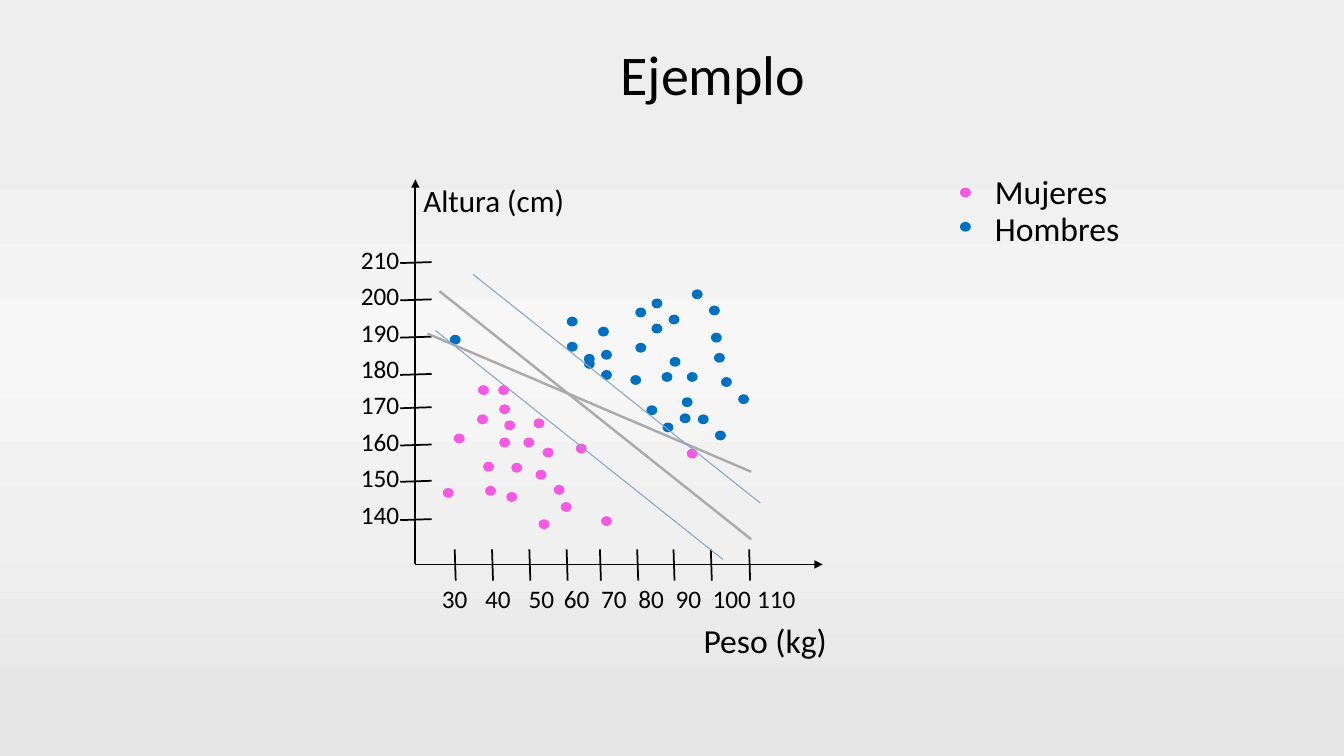
import pptx
import pptx.dml.color
import pptx.enum.dml
import pptx.enum.shapes
import pptx.enum.text
import pptx.oxml
import pptx.oxml.ns
import pptx.util
from pptx.util import Inches

BLACK, GREY, PALE_BLUE = "000000", "ABABAB", "86A6C1"
PINK, BLUE = "F658E3", "0070C0"
BACKDROP = [(0, "EEEEEE"), (25, "F1F1F1"), (47, "F7F7F7"), (70, "F0F0F0"), (93, "E6E6E6")]
DOT_WIDTH, DOT_HEIGHT = 0.09, 0.08

# Plot coordinates are inches from the top-left corner of the plot box.
PLOT_BOX = (3.48, 1.71, 5.33, 4.95)
LEGEND_BOX = (9.53, 1.61, 1.75, 0.9)
HEIGHTS = ["210", "200", "190", "180", "170", "160", "150", "140"]
HEIGHT_TICKS = [0.9, 1.27, 1.64, 2.01, 2.34, 2.71, 3.07, 3.45]
WEIGHTS = ["30", "40", "50", "60", "70", "80", "90", "100", "110"]
WEIGHT_TICKS = [1.03, 1.4, 1.77, 2.14, 2.47, 2.84, 3.2, 3.57, 3.95]
WEIGHT_CENTERS = [0.29, 0.72, 1.15, 1.5, 1.87, 2.24, 2.61, 3.04, 3.48]
WOMEN = [
    (1.72, 2.64), (1.48, 2.64), (1.6, 2.89), (1.26, 2.41), (2.09, 3.28), (1.84, 2.96),
    (1.48, 2.31), (1.27, 2.12), (1.34, 3.12), (2.02, 3.11), (1.32, 2.88), (1.91, 2.74),
    (1.47, 2.12), (1.82, 2.45), (1.87, 3.45), (1.03, 2.6), (2.24, 2.7), (1.55, 3.18),
    (1.53, 2.47), (0.92, 3.14), (3.34, 2.75), (2.49, 3.42)]
MEN = [
    (3.61, 1.8), (2.46, 1.54), (2.15, 1.69), (2.32, 1.86), (2.94, 2.32), (3.1, 2.49),
    (2.83, 1.35), (2.99, 1.51), (2.15, 1.44), (3.17, 1.84), (2.49, 1.77), (3.09, 1.99),
    (3.27, 2.4), (2.99, 1.26), (3.16, 1.42), (3.68, 2.04), (3.85, 2.21), (3.39, 1.17),
    (3.56, 1.33), (0.99, 1.62), (2.83, 1.7), (3.34, 1.99), (2.32, 1.81), (2.49, 1.97),
    (2.78, 2.02), (3.29, 2.24), (3.45, 2.41), (3.62, 2.57), (3.58, 1.6)]
SEPARATORS = [
    (0.76, 1.6, 3.97, 2.97, GREY, 1.75), (0.88, 1.18, 3.97, 3.64, GREY, 1.75),
    (0.84, 1.57, 3.69, 3.84, PALE_BLUE, 0.75), (1.21, 1.01, 4.06, 3.28, PALE_BLUE, 0.75)]


def color(hex_code):
    return pptx.dml.color.RGBColor.from_string(hex_code)


def add_run(paragraph, text, size):
    run = paragraph.add_run()
    run.text = text
    run.font.name = "Calibri"
    run.font.size = pptx.util.Pt(size)
    run.font.color.rgb = color(BLACK)


def add_label(slide, box, lines, size, before=4.8, after=6, spacing=None,
              anchor=pptx.enum.text.MSO_ANCHOR.MIDDLE):
    frame = slide.shapes.add_textbox(*map(Inches, box)).text_frame
    frame.word_wrap = True
    frame.vertical_anchor = anchor
    for index, line in enumerate(lines):
        paragraph = frame.add_paragraph() if index else frame.paragraphs[0]
        paragraph.space_before = pptx.util.Pt(before)
        paragraph.space_after = pptx.util.Pt(after)
        if spacing:
            paragraph.line_spacing = pptx.util.Pt(spacing)
        add_run(paragraph, line, size)
    return frame


def add_line(slide, x1, y1, x2, y2, hex_code=BLACK, width=1.25, arrow=False):
    line = slide.shapes.add_connector(
        pptx.enum.shapes.MSO_CONNECTOR.STRAIGHT, *map(Inches, (x1, y1, x2, y2)))
    line.line.color.rgb = color(hex_code)
    line.line.width = pptx.util.Pt(width)
    if arrow:
        outline = line.line._get_or_add_ln()
        pptx.oxml.ns.qn("a:tailEnd")
        outline.append(outline.makeelement(pptx.oxml.ns.qn("a:tailEnd"), {"type": "triangle"}))
    properties = line._element.spPr
    properties.append(properties.makeelement(pptx.oxml.ns.qn("a:effectLst"), {}))


def add_dot(slide, x, y, hex_code):
    dot = slide.shapes.add_shape(
        pptx.enum.shapes.MSO_SHAPE.OVAL, *map(Inches, (x, y, DOT_WIDTH, DOT_HEIGHT)))
    dot.shadow.inherit = False
    dot.fill.solid()
    dot.fill.fore_color.rgb = color(hex_code)
    dot.line.color.rgb = color(hex_code)
    dot.line.width = pptx.util.Pt(1.25)


def set_background(slide):
    fill = slide.background.fill
    fill.gradient()
    fill.gradient_angle = 270
    stops = slide._element.find(".//" + pptx.oxml.ns.qn("a:gsLst"))
    for stop in list(stops):
        stops.remove(stop)
    for percent, hex_code in BACKDROP:
        stops.append(pptx.oxml.parse_xml(
            f'<a:gs {pptx.oxml.ns.nsdecls("a")} pos="{percent * 1000}">'
            f'<a:srgbClr val="{hex_code}"/></a:gs>'))


def add_title(slide, box):
    title = slide.shapes.title
    title.left, title.top, title.width, title.height = map(Inches, box)
    title.text_frame.vertical_anchor = pptx.enum.text.MSO_ANCHOR.MIDDLE
    paragraph = title.text_frame.paragraphs[0]
    paragraph.alignment = pptx.enum.text.PP_ALIGN.CENTER
    add_run(paragraph, "Ejemplo", 40)


def add_axes(slide, box):
    left, top, width, height = box
    origin_x, origin_y = left + 0.64, top + 3.89
    add_line(slide, origin_x, origin_y, origin_x, top + 0.07, arrow=True)
    add_line(slide, origin_x, origin_y, left + 4.68, origin_y, arrow=True)

    # Tick marks lean slightly, as if drawn by hand
    for y in HEIGHT_TICKS:
        add_line(slide, left + 0.49, top + y, left + 0.8, top + y - 0.01)
    for x in WEIGHT_TICKS:
        add_line(slide, left + x, top + 3.74, left + x + 0.01, top + 4.05)

    # Axis names and values
    add_label(slide, (left + 0.62, top, 1.69, 0.55), ["Altura (cm)"], 22.2)
    add_label(slide, (left + 3.4, top + 4.39, 1.5, 0.49), ["Peso (kg)"], 24)
    add_label(slide, (left, top + 0.7, 0.72, 3.28), HEIGHTS, 18, before=3, after=4,
              spacing=19, anchor=pptx.enum.text.MSO_ANCHOR.TOP)
    weights = add_label(slide, (origin_x, top + 3.98, 4.69, 0.49),
                        ["\t" + "\t".join(WEIGHTS)], 18)
    tabs = "".join(f'<a:tab pos="{Inches(x)}" algn="ctr"/>' for x in WEIGHT_CENTERS)
    weights.paragraphs[0]._p.get_or_add_pPr().append(pptx.oxml.parse_xml(
        f'<a:tabLst {pptx.oxml.ns.nsdecls("a")}>{tabs}</a:tabLst>'))


def add_plot(slide, box):
    left, top, width, height = box
    add_axes(slide, box)
    for points, hex_code in ((WOMEN, PINK), (MEN, BLUE)):
        for x, y in points:
            add_dot(slide, left + x, top + y, hex_code)
    for x1, y1, x2, y2, hex_code, weight in SEPARATORS:
        add_line(slide, left + x1, top + y1, left + x2, top + y2, hex_code, weight)


def add_legend(slide, box):
    left, top, width, height = box
    entries = [("Mujeres", PINK, 0.04, 0.26), ("Hombres", BLUE, 0.41, 0.6)]
    for name, hex_code, label_y, dot_y in entries:
        add_dot(slide, left, top + dot_y, hex_code)
        add_label(slide, (left + 0.24, top + label_y, width - 0.24, 0.49), [name], 24)


def main():
    deck = pptx.Presentation()
    deck.slide_width, deck.slide_height = Inches(13.33), Inches(7.5)
    slide = deck.slides.add_slide(deck.slide_layouts[5])
    set_background(slide)
    add_title(slide, (1.59, 0.16, 10.96, 1.14))
    add_plot(slide, PLOT_BOX)
    add_legend(slide, LEGEND_BOX)
    deck.save("out.pptx")


if __name__ == "__main__":
    main()
